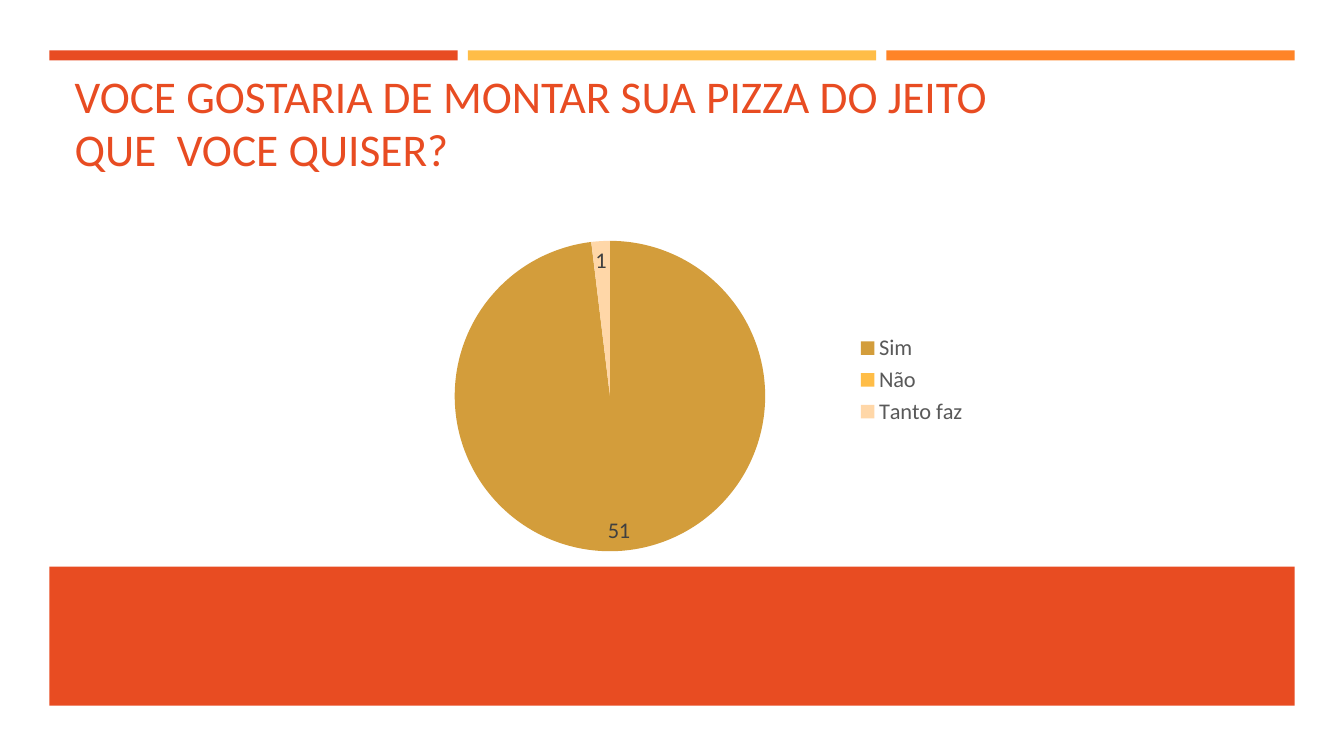
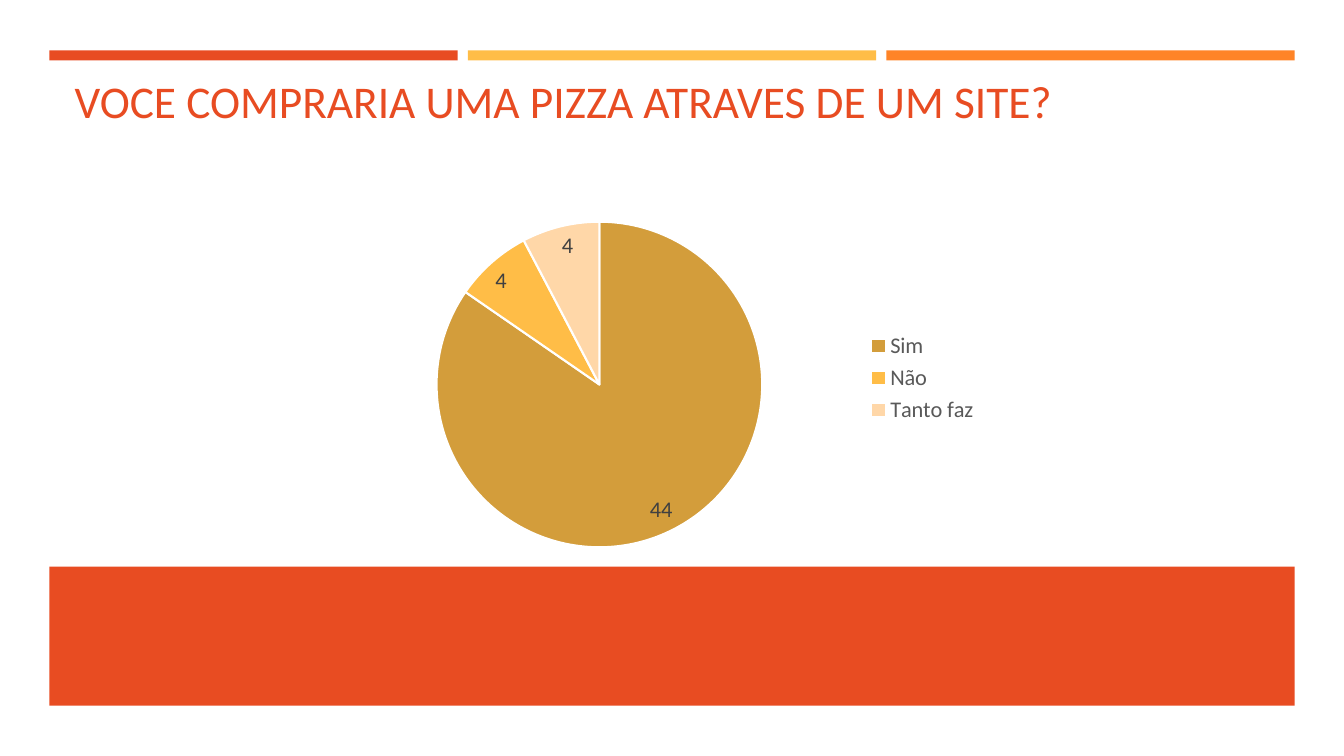
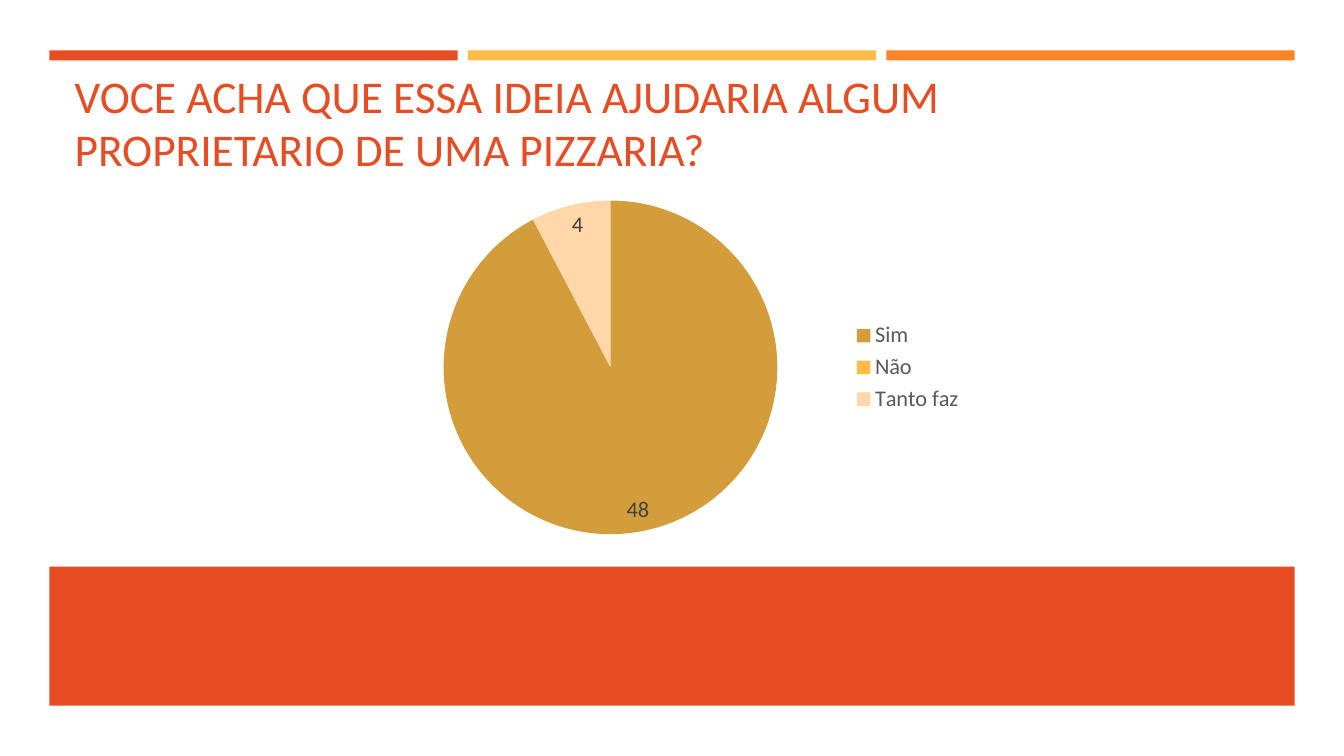
from lxml.etree import SubElement
from pptx import Presentation
from pptx.chart.data import CategoryChartData
from pptx.dml.color import RGBColor
from pptx.enum.chart import XL_CHART_TYPE, XL_LABEL_POSITION, XL_LEGEND_POSITION
from pptx.enum.shapes import MSO_SHAPE
from pptx.enum.text import MSO_ANCHOR, MSO_AUTO_SIZE, PP_ALIGN
from pptx.oxml.ns import qn
from pptx.util import Inches, Pt

COLORS = {
    "red": "E84C22", "yellow": "FFBD47", "orange": "FF8427",
    "gold": "D39D3B", "peach": "FFD7A8", "white": "FFFFFF",
    "label": "404040", "legend": "595959",
}
FONT = "Calibri"
ANSWERS = ("Sim", "Não", "Tanto faz")
SLICES = ("gold", "yellow", "peach")
LEFT, WIDTH, GAP = 0.49, 12.35, 0.1

# Each entry: title, title top, values, chart box, pie box, slice outline
SURVEY = (
    ("VOCE GOSTARIA DE MONTAR SUA PIZZA DO JEITO\vQUE  VOCE QUISER?", 0.65,
     (51, 0, 1), (3.63, 1.93, 6.07, 3.68), (4.51, 2.39, 3.08), False),
    ("VOCE COMPRARIA UMA PIZZA ATRAVES DE UM SITE?", 0.7,
     (44, 4, 4), (3.3, 1.93, 6.51, 3.64), (4.33, 2.2, 3.23), True),
    ("VOCE ACHA QUE ESSA IDEIA AJUDARIA ALGUM\vPROPRIETARIO DE UMA PIZZARIA?", 0.65,
     (48, 0, 4), (3.67, 1.85, 5.99, 3.59), (4.4, 1.99, 3.31), False),
)


def rgb(name):
    """Return a palette colour."""
    return RGBColor.from_string(COLORS[name])


def style(font, size, color):
    """Set the face, size and colour of a font."""
    font.name, font.size = FONT, Pt(size)
    font.color.rgb = rgb(color)


def add_bar(slide, layout, box, color):
    """Draw a plain bar and move it to the layout."""
    bar = slide.shapes.add_shape(MSO_SHAPE.RECTANGLE, *map(Inches, box))
    bar.shadow.inherit = False
    bar.fill.solid()
    bar.fill.fore_color.rgb = rgb(color)
    bar.line.fill.background()
    layout.shapes.element.append(bar.element)


def add_frame(slide, layout):
    """Give the layout its three top bars and its bottom band."""
    span = (WIDTH - 2 * GAP) / 3
    for i, color in enumerate(("red", "yellow", "orange")):
        add_bar(slide, layout, (LEFT + i * (span + GAP), 0.5, span, 0.1), color)
    add_bar(slide, layout, (LEFT, 5.62, WIDTH, 1.38), "red")


def set_title(slide, text, top):
    """Place and format the title placeholder."""
    title = slide.shapes.title
    title.left, title.top = Inches(0.64), Inches(top)
    title.width, title.height = Inches(12.06), Inches(1.2)
    frame = title.text_frame
    frame.text = text
    frame.word_wrap = True
    frame.auto_size = MSO_AUTO_SIZE.NONE
    frame.vertical_anchor = MSO_ANCHOR.TOP
    for para in frame.paragraphs:
        para.alignment = PP_ALIGN.LEFT
        para.line_spacing = 0.98
        for run in para.runs:
            style(run.font, 32.4, "red")


def place_pie(chart, box, pie):
    """Fix the pie inside the chart box."""
    left, top, width, height = box
    x, y, size = pie
    plot = chart.element.find(".//" + qn("c:plotArea"))
    layout = plot.find(qn("c:layout"))
    if layout is None:
        layout = SubElement(plot, qn("c:layout"))
        plot.insert(0, layout)
    manual = SubElement(layout, qn("c:manualLayout"))
    parts = (
        ("layoutTarget", "inner"), ("xMode", "edge"), ("yMode", "edge"),
        ("x", (x - left) / width), ("y", (y - top) / height),
        ("w", size / width), ("h", size / height),
    )
    for tag, value in parts:
        SubElement(manual, qn("c:" + tag)).set("val", str(value))


def add_pie(slide, values, box, pie, outline):
    """Draw the pie chart of the answers."""
    data = CategoryChartData()
    data.categories = ANSWERS
    data.add_series("Series 1", values)
    chart = slide.shapes.add_chart(
        XL_CHART_TYPE.PIE, *map(Inches, box), data).chart
    chart.has_title = False
    chart.has_legend = True
    chart.legend.position = XL_LEGEND_POSITION.RIGHT
    chart.legend.include_in_layout = False
    style(chart.legend.font, 16, "legend")
    plot = chart.plots[0]
    plot.vary_by_categories = True
    for i, color in enumerate(SLICES):
        form = plot.series[0].points[i].format
        form.fill.solid()
        form.fill.fore_color.rgb = rgb(color)
        if outline:
            form.line.color.rgb = rgb("white")
            form.line.width = Pt(1.5)
        else:
            form.line.fill.background()
    plot.has_data_labels = True
    labels = plot.data_labels
    labels.show_value = True
    labels.show_percentage = False
    labels.number_format = "#"
    labels.number_format_is_linked = False
    labels.position = XL_LABEL_POSITION.INSIDE_END
    style(labels.font, 16, "label")
    place_pie(chart, box, pie)


def main():
    """Build the survey slides."""
    deck = Presentation()
    deck.slide_width, deck.slide_height = Inches(13.33), Inches(7.5)
    layout = deck.slide_layouts[5]
    for i, (text, top, values, box, pie, outline) in enumerate(SURVEY):
        slide = deck.slides.add_slide(layout)
        if i == 0:
            add_frame(slide, layout)
        set_title(slide, text, top)
        add_pie(slide, values, box, pie, outline)
    deck.save("out.pptx")


if __name__ == "__main__":
    main()
